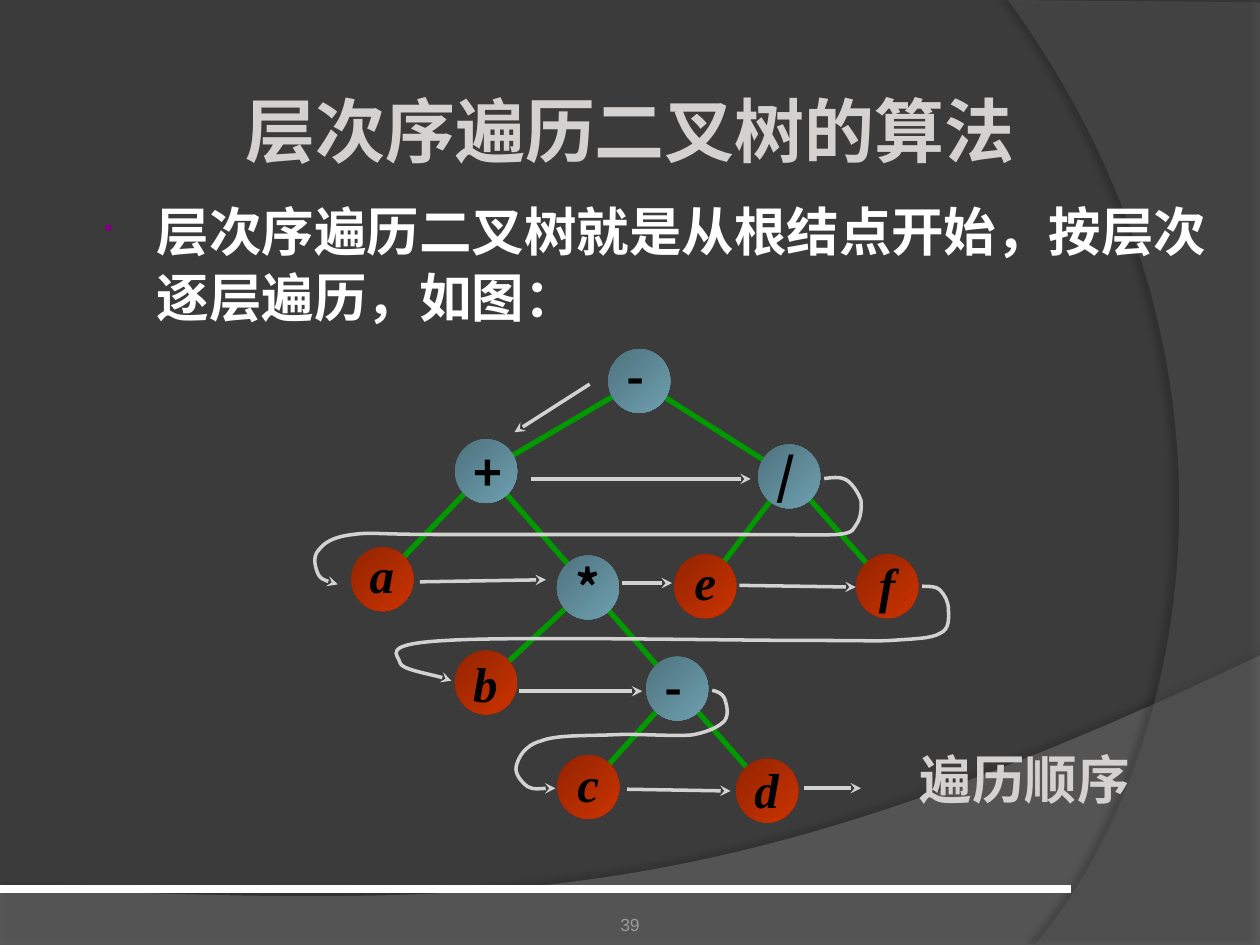
from math import hypot

from lxml import etree
from pptx import Presentation
from pptx.dml.color import RGBColor
from pptx.enum.shapes import MSO_CONNECTOR, MSO_SHAPE
from pptx.enum.text import MSO_ANCHOR, MSO_AUTO_SIZE, PP_ALIGN
from pptx.oxml.ns import qn
from pptx.util import Pt

CJK = "Noto Sans CJK SC"
SERIF = "Times New Roman"
PALE = "D4D2D0"
OPERATOR = ("4F727E", "6EA0B0")
OPERAND = ("922400", "CC3300")
NODE_WIDTH, NODE_HEIGHT = 35.5, 36.5
LABEL_WIDTHS = {"c": 26.6, "e": 26.6, "f": 23.8}

# name: (label, centre x, centre y, vertical shift of the label)
NODES = {
    "root": ("-", 195.3, 27.7, -3), "a": ("a", 48.5, 141, -3),
    "b": ("b", 107.7, 200, 0.5), "c": ("c", 166.2, 259.7, -2),
    "d": ("d", 268.4, 261.8, -1), "f": ("f", 337, 145, -1),
    "e": ("e", 233, 145, -3), "plus": ("+", 107.8, 79.2, 0.5),
    "minus": ("-", 217, 203.5, -1), "times": ("*", 166, 145.7, 0),
    "divide": ("/", 281, 82.2, -0.5),
}
# The branch from plus to d runs behind times and minus.
BRANCHES = [("root", "plus"), ("plus", "a"), ("plus", "d"), ("times", "b"),
            ("minus", "c"), ("divide", "e"), ("root", "divide"), ("divide", "f")]
STEPS = [
    (167, 29.5, 124, 57), (133.5, 83.7, 259, 83.7), (70, 142.5, 142, 141.3),
    (185.7, 143.2, 214, 143.2), (252.5, 144.5, 319, 145.5),
    (126.5, 205, 197, 205), (188.3, 261, 247.5, 262),
    (289.5, 260.4, 322, 260.4),
]
# Each row return: a start point, then cubic segments.
RETURNS = [
    [(301, 83.5), (305, 83, 310, 82, 314, 84.5), (317, 86.5, 320.5, 91.5, 322, 96),
     (322.5, 100, 322, 106, 319.5, 109.5), (317, 112.5, 319, 114.5, 308, 115.5),
     (297, 116, 291.5, 115.5, 254, 115.5), (216.5, 115.5, 120, 115.5, 82.5, 115.5),
     (45, 115.5, 43, 114, 31.5, 115.5), (19.5, 117, 15, 120.5, 12, 124.5),
     (8.5, 128, 10, 134.5, 12, 138.5), (13.5, 141, 20, 143.5, 23, 144)],
    [(357, 145), (360.5, 145, 365, 145, 367, 147), (370, 150, 372, 154, 372, 158.5),
     (372, 163, 373, 169.5, 367, 172), (362, 175, 352, 175, 339, 176),
     (326, 176.5, 334, 176, 291.5, 176), (249, 176, 124, 173.5, 85, 176),
     (46, 178, 58, 184.5, 58.5, 188.5), (59, 192.5, 83.5, 196.5, 88, 199)],
    [(237, 204.5), (239.5, 205, 242.5, 206, 244, 209), (245, 212, 247, 218, 244, 222),
     (241, 225, 236, 228, 225.5, 230), (214.5, 231, 193.5, 229, 178.5, 230),
     (164, 230.5, 147.5, 230, 139, 233.5), (129.5, 236, 126, 243.5, 125, 248),
     (124, 252, 128, 257, 131.5, 259.5), (135, 261.5, 145.5, 260, 147.5, 260.5)],
]


def color(value):
    return RGBColor.from_string(value)


def add_child(parent, tag, **attributes):
    child = etree.SubElement(parent, qn(tag))
    for name, value in attributes.items():
        child.set(name, str(value))
    return child


def add_text(shapes, text, left, top, width, height, size=30, font=SERIF,
             fill=PALE, bold=True, italic=False, align=PP_ALIGN.LEFT,
             anchor=MSO_ANCHOR.TOP, wrap=True, grow=False, insets=None):
    box = shapes.add_textbox(Pt(left), Pt(top), Pt(width), Pt(height))
    frame = box.text_frame
    frame.word_wrap = wrap
    frame.vertical_anchor = anchor
    if grow:
        frame.auto_size = MSO_AUTO_SIZE.SHAPE_TO_FIT_TEXT
    if insets:
        (frame.margin_left, frame.margin_top,
         frame.margin_right, frame.margin_bottom) = map(Pt, insets)
    para = frame.paragraphs[0]
    para.alignment = align
    span = para.add_run()
    span.text = text
    span.font.size, span.font.name = Pt(size), font
    span.font.bold, span.font.italic = bold, italic
    span.font.color.rgb = color(fill)
    add_child(span.font._element, "a:ea", typeface=CJK)
    return box


def style_line(shape, stroke, width, arrow=False):
    shape.line.color.rgb = color(stroke)
    shape.line.width = Pt(width)
    if arrow:
        add_child(shape.line._get_or_add_ln(), "a:tailEnd", type="stealth")


def add_line(shapes, x1, y1, x2, y2, stroke, width, arrow=False):
    line = shapes.add_connector(MSO_CONNECTOR.STRAIGHT, Pt(x1), Pt(y1), Pt(x2), Pt(y2))
    style_line(line, stroke, width, arrow)
    add_child(line._element.spPr, "a:effectLst")


def add_outline(shapes, left, top, segments, close=False):
    """Draw a path of points (x, y) and cubic segments (six numbers)."""
    anchors = [(Pt(left + segment[-2]), Pt(top + segment[-1])) for segment in segments]
    builder = shapes.build_freeform(*anchors[0], scale=1.0)
    builder.add_line_segments(anchors[1:], close=close)
    shape = builder.convert_to_shape()
    shape.shadow.inherit = False
    origin_x = min(x for x, _ in anchors)
    origin_y = min(y for _, y in anchors)
    straights = list(shape._element.spPr.iter(qn("a:lnTo")))
    for straight, segment in zip(straights, segments[1:]):
        if len(segment) == 6:
            curve = etree.Element(qn("a:cubicBezTo"))
            for x, y in zip(segment[::2], segment[1::2]):
                add_child(curve, "a:pt", x=Pt(left + x) - origin_x, y=Pt(top + y) - origin_y)
            straight.getparent().replace(straight, curve)
    return shape


def add_panel(shapes, left, top, segments, fill, opacity, shade, distance, angle):
    """Draw a translucent background panel with a soft shadow."""
    panel = add_outline(shapes, left, top, segments, close=True)
    panel.line.fill.background()
    panel.fill.solid()
    panel.fill.fore_color.rgb = color(fill)
    tint = panel._element.spPr.find(".//" + qn("a:srgbClr"))
    add_child(tint, "a:alpha", val=opacity * 1000)
    effects = panel._element.spPr.find(qn("a:effectLst"))
    shadow = add_child(effects, "a:outerShdw", blurRad=Pt(4), dist=Pt(distance),
                       dir=angle * 60000, algn="ctr", rotWithShape=0)
    black = add_child(shadow, "a:srgbClr", val="000000")
    add_child(black, "a:alpha", val=shade * 1000)


def add_backdrop(page, width, height):
    page.background.fill.solid()
    page.background.fill.fore_color.rgb = color("3B3B3B")
    wave = [(0, 133), (0, 166), (width, 166), (width, 0),
            (402.5, 150.5, 281.5, 143, 0, 133)]
    add_panel(page.shapes, 0, height - 165.5, wave, "7F7F7F", 45, 35, 3.5, 270)
    arc = [(144, 1.5), (144, height), (15, height), (97, 445.5, 157, 216, 0, 0)]
    add_panel(page.shapes, width - 144, 0, arc, "5E5E5E", 40, 45, 4, 180)
    add_line(page.shapes, 0, 508, 612, 508, "FFFFFF", 4.5)


def add_statement(page, left, top, width, height):
    box = add_text(page.shapes, "层次序遍历二叉树就是从根结点开始，按层次逐层遍历，如图：",
                   left, top, width, height, fill="FFFFFF")
    para = box.text_frame.paragraphs[0]
    para.line_spacing = 1.05
    para.space_before = Pt(6)
    properties = para._p.get_or_add_pPr()
    properties.set("marL", str(Pt(33)))
    properties.set("indent", str(Pt(-30)))
    add_child(add_child(properties, "a:buClr"), "a:srgbClr", val="800080")
    add_child(properties, "a:buSzPct", val=50000)
    add_child(properties, "a:buChar", char="•")


def add_node(shapes, x, y, fills):
    node = shapes.add_shape(MSO_SHAPE.OVAL, Pt(x - NODE_WIDTH / 2), Pt(y - NODE_HEIGHT / 2),
                            Pt(NODE_WIDTH), Pt(NODE_HEIGHT))
    node.shadow.inherit = False
    node.line.fill.background()
    node.fill.gradient()
    node.fill.gradient_angle = 315
    for position, (stop, fill) in enumerate(zip(node.fill.gradient_stops, fills)):
        stop.color.rgb = color(fill)
        stop.position = position


def add_tree(page, left, top):
    shapes = page.shapes.add_group_shape().shapes
    for parent, child in BRANCHES:
        x1, y1 = NODES[parent][1:3]
        x2, y2 = NODES[child][1:3]
        trim = 11 / hypot(x2 - x1, y2 - y1)
        dx, dy = (x2 - x1) * trim, (y2 - y1) * trim
        add_line(shapes, left + x1 + dx, top + y1 + dy, left + x2 - dx, top + y2 - dy,
                 "009900", 3)
    for label, x, y, _ in NODES.values():
        add_node(shapes, left + x, top + y, OPERAND if label.isalpha() else OPERATOR)
    for label, x, y, shift in NODES.values():
        width = LABEL_WIDTHS.get(label, 28.8)
        add_text(shapes, label, left + x - width / 2, top + y + shift - 20.5, width, 41,
                 size=28, font=SERIF if label.isalpha() else CJK, fill="000000",
                 italic=label.isalpha(), wrap=False, grow=True)
    for x1, y1, x2, y2 in STEPS:
        add_line(shapes, left + x1, top + y1, left + x2, top + y2, PALE, 2, arrow=True)
    for segments in RETURNS:
        loop = add_outline(shapes, left, top, segments)
        loop.fill.background()
        style_line(loop, PALE, 2, arrow=True)


def main():
    deck = Presentation()
    deck.slide_width, deck.slide_height = Pt(720), Pt(540)
    page = deck.slides.add_slide(deck.slide_layouts[6])
    add_backdrop(page, 720, 540)
    add_text(page.shapes, "39", 246, 505.5, 228, 29, size=10, font="Arial", fill="9D9B9A",
             bold=False, align=PP_ALIGN.CENTER, anchor=MSO_ANCHOR.BOTTOM,
             insets=(0, 3.6, 0, 0))
    add_statement(page, 49.5, 108.5, 648, 306)
    add_text(page.shapes, "遍历顺序", 518.5, 423.5, 162, 43, grow=True)
    add_tree(page, 170, 190)
    add_text(page.shapes, "层次序遍历二叉树的算法", 36, 36, 648, 75.5, size=40, font="Karla",
             align=PP_ALIGN.CENTER, anchor=MSO_ANCHOR.MIDDLE, insets=(3.6, 3.6, 3.6, 3.6))
    deck.save("out.pptx")


if __name__ == "__main__":
    main()
